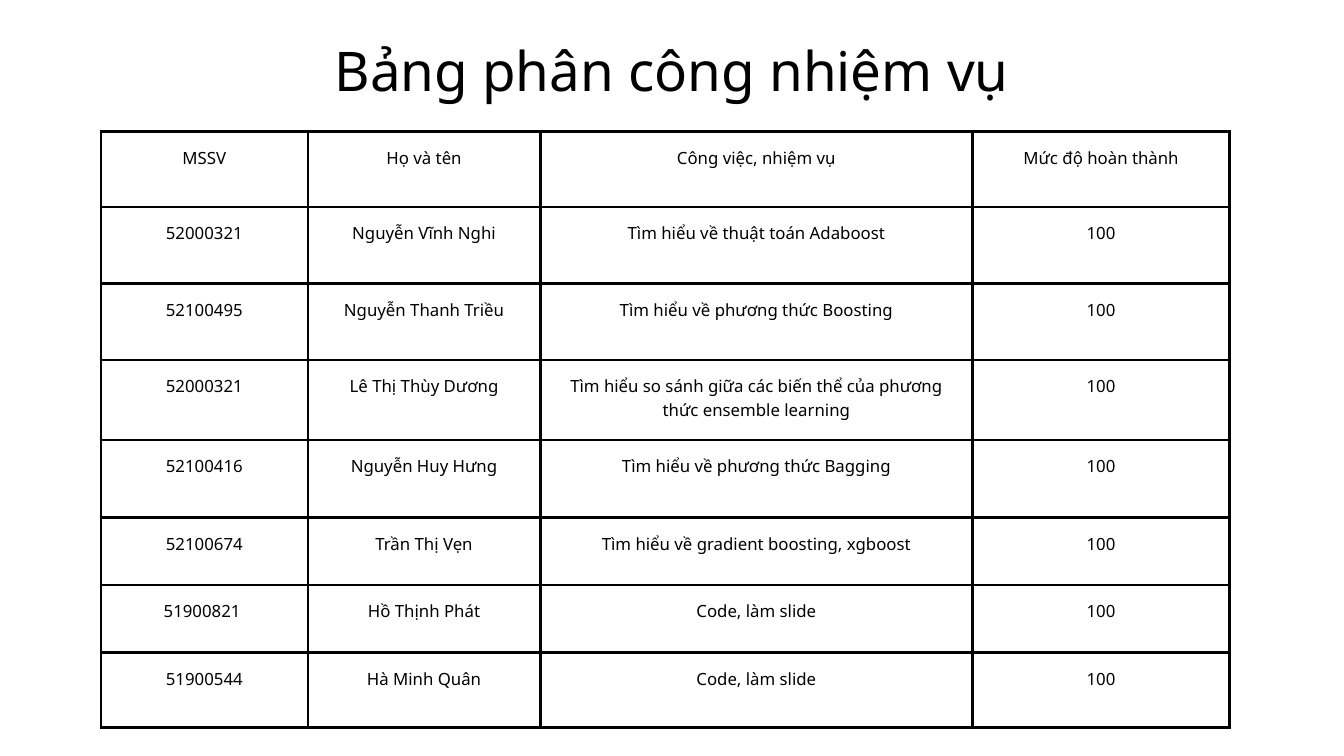
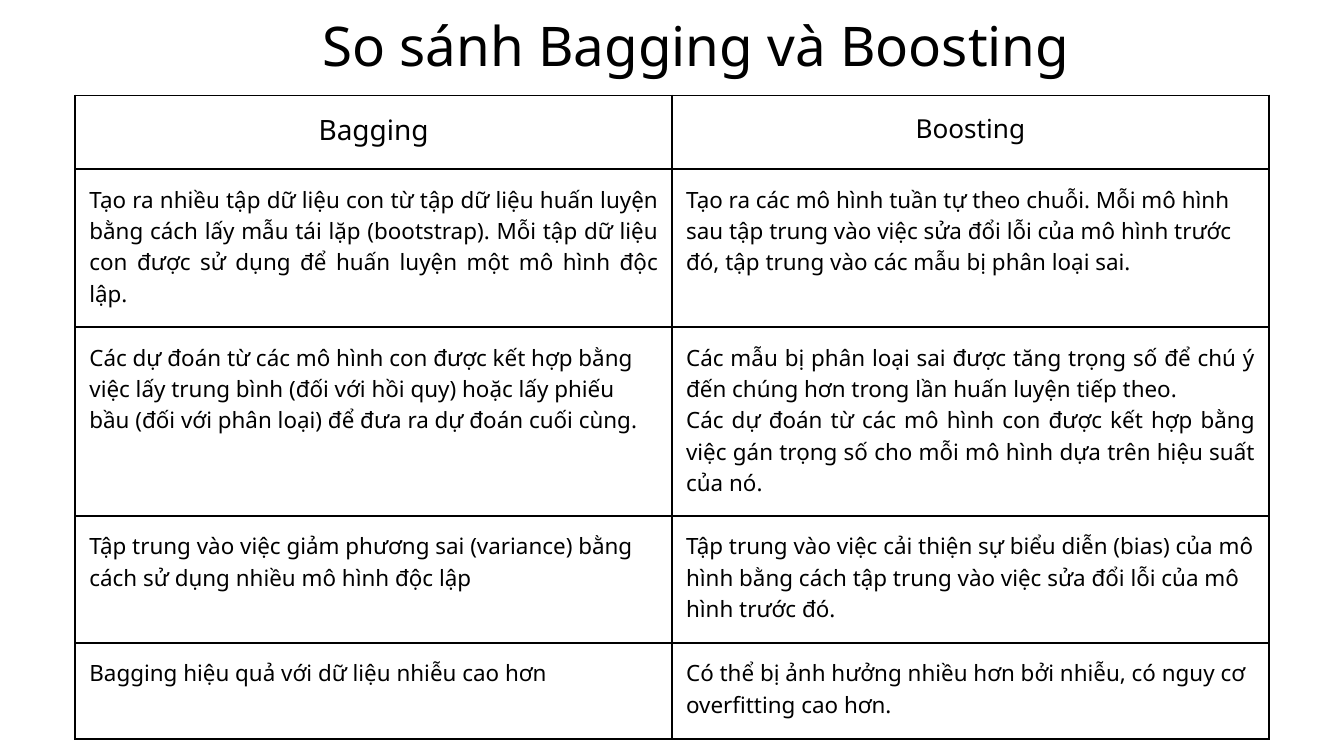
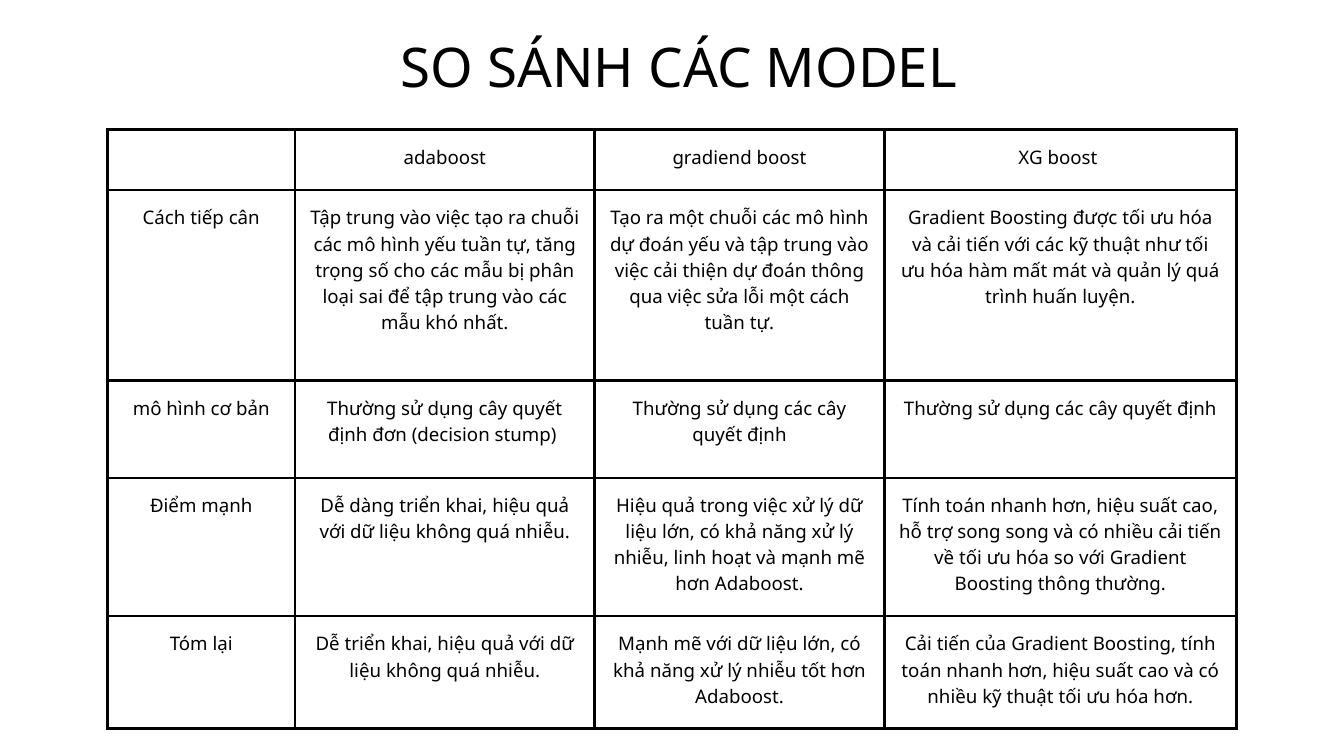
import dataclasses

import pptx
import pptx.dml.color
import pptx.enum.text
import pptx.oxml
import pptx.oxml.ns
import pptx.util

ALIGN = pptx.enum.text.PP_ALIGN
GRID_COLS, GRID_ROWS = 20, 11.25


@dataclasses.dataclass(frozen=True)
class Theme:
    font: str = "Noto Sans"
    ink: str = "000000"
    paper: str = "FFFFFF"
    title: float = 58.6
    small: int = 18
    medium: int = 20
    large: int = 24
    header: int = 28
    header_big: int = 30
    leading: float = 1.4
    cell_margin: float = 0.21
    thin: float = 2.25
    thick: float = 3


THEME = Theme()

TASKS = [
    ("MSSV", "Họ và tên", "Công việc, nhiệm vụ", "Mức độ hoàn thành"),
    ("52000321", "Nguyễn Vĩnh Nghi", "Tìm hiểu về thuật toán Adaboost", "100"),
    ("52100495", "Nguyễn Thanh Triều", "Tìm hiểu về phương thức Boosting", "100"),
    ("52000321", "Lê Thị Thùy Dương",
     "Tìm hiểu so sánh giữa các biến thể của phương thức ensemble learning", "100"),
    ("52100416", "Nguyễn Huy Hưng", "Tìm hiểu về phương thức Bagging", "100"),
    ("52100674", "Trần Thị Vẹn", "Tìm hiểu về gradient boosting, xgboost", "100"),
    ("51900821 ", "Hồ Thịnh Phát", "Code, làm slide", "100"),
    ("51900544", "Hà Minh Quân", "Code, làm slide", "100"),
]

METHODS = [
    ("Bagging", "Boosting"),
    ("Tạo ra nhiều tập dữ liệu con từ tập dữ liệu huấn luyện bằng cách lấy mẫu "
     "tái lặp (bootstrap). Mỗi tập dữ liệu con được sử dụng để huấn luyện một "
     "mô hình độc lập.",
     "Tạo ra các mô hình tuần tự theo chuỗi. Mỗi mô hình sau tập trung vào việc "
     "sửa đổi lỗi của mô hình trước đó, tập trung vào các mẫu bị phân loại sai."),
    ("Các dự đoán từ các mô hình con được kết hợp bằng việc lấy trung bình (đối "
     "với hồi quy) hoặc lấy phiếu bầu (đối với phân loại) để đưa ra dự đoán cuối "
     "cùng.",
     "Các mẫu bị phân loại sai được tăng trọng số để chú ý đến chúng hơn trong "
     "lần huấn luyện tiếp theo.\n"
     "Các dự đoán từ các mô hình con được kết hợp bằng việc gán trọng số cho mỗi "
     "mô hình dựa trên hiệu suất của nó."),
    ("Tập trung vào việc giảm phương sai (variance) bằng cách sử dụng nhiều mô "
     "hình độc lập",
     "Tập trung vào việc cải thiện sự biểu diễn (bias) của mô hình bằng cách tập "
     "trung vào việc sửa đổi lỗi của mô hình trước đó."),
    ("Bagging hiệu quả với dữ liệu nhiễu cao hơn",
     "Có thể bị ảnh hưởng nhiều hơn bởi nhiễu, có nguy cơ overfitting cao hơn."),
]

METHOD_STYLES = {
    (0, 0): (THEME.header_big, ALIGN.CENTER),
    (0, 1): (THEME.header, ALIGN.CENTER),
    (1, 0): (THEME.large, ALIGN.JUSTIFY),
    (2, 1): (THEME.large, ALIGN.JUSTIFY),
}

MODELS = [
    ("", "adaboost", "gradiend boost", "XG boost "),
    ("Cách tiếp cân",
     "Tập trung vào việc tạo ra chuỗi các mô hình yếu tuần tự, tăng trọng số cho "
     "các mẫu bị phân loại sai để tập trung vào các mẫu khó nhất.",
     "Tạo ra một chuỗi các mô hình dự đoán yếu và tập trung vào việc cải thiện dự "
     "đoán thông qua việc sửa lỗi một cách tuần tự.",
     "Gradient Boosting được tối ưu hóa và cải tiến với các kỹ thuật như tối ưu "
     "hóa hàm mất mát và quản lý quá trình huấn luyện."),
    ("mô hình cơ bản",
     "Thường sử dụng cây quyết định đơn (decision stump) ",
     "Thường sử dụng các cây quyết định",
     "Thường sử dụng các cây quyết định"),
    ("Điểm mạnh",
     "Dễ dàng triển khai, hiệu quả với dữ liệu không quá nhiễu.",
     "Hiệu quả trong việc xử lý dữ liệu lớn, có khả năng xử lý nhiễu, linh hoạt "
     "và mạnh mẽ hơn Adaboost.",
     "Tính toán nhanh hơn, hiệu suất cao, hỗ trợ song song và có nhiều cải tiến "
     "về tối ưu hóa so với Gradient Boosting thông thường."),
    ("Tóm lại",
     "Dễ triển khai, hiệu quả với dữ liệu không quá nhiễu.",
     "Mạnh mẽ với dữ liệu lớn, có khả năng xử lý nhiễu tốt hơn Adaboost.",
     "Cải tiến của Gradient Boosting, tính toán nhanh hơn, hiệu suất cao và có "
     "nhiều kỹ thuật tối ưu hóa hơn."),
]


def grid(n):
    return pptx.util.Inches(n)


def write(tf, text, size, align):
    tf.word_wrap = True
    for i, line in enumerate(text.split("\n")):
        p = tf.paragraphs[0] if i == 0 else tf.add_paragraph()
        p.alignment = align
        p.line_spacing = pptx.util.Pt(round(size * THEME.leading, 1))
        p.space_before = pptx.util.Pt(0)
        r = p.add_run()
        r.text = line
        r.font.name = THEME.font
        r.font.size = pptx.util.Pt(size)
        r.font.color.rgb = pptx.dml.color.RGBColor.from_string(THEME.ink)


def add_titled_slide(prs, text, left, top, width, height):
    s = prs.slides.add_slide(prs.slide_layouts[5])
    s.background.fill.solid()
    s.background.fill.fore_color.rgb = pptx.dml.color.RGBColor.from_string(THEME.paper)
    sp = s.shapes.title
    sp.left, sp.top, sp.width, sp.height = map(grid, (left, top, width, height))
    tf = sp.text_frame
    tf.margin_left = tf.margin_top = tf.margin_right = tf.margin_bottom = 0
    tf.vertical_anchor = pptx.enum.text.MSO_ANCHOR.TOP
    tf.auto_size = pptx.enum.text.MSO_AUTO_SIZE.SHAPE_TO_FIT_TEXT
    write(tf, text, THEME.title, ALIGN.CENTER)
    return s


def set_borders(cell, weight):
    tc_pr = cell._tc.get_or_add_tcPr()
    for side in ("lnL", "lnR", "lnT", "lnB"):
        tc_pr.append(pptx.oxml.parse_xml(
            f'<a:{side} {pptx.oxml.ns.nsdecls("a")} w="{pptx.util.Pt(weight)}">'
            f'<a:solidFill><a:srgbClr val="{THEME.ink}"/></a:solidFill>'
            f'</a:{side}>'))


def add_grid_table(s, data, left, top, cols, rows, weight, style, styles=None):
    frame = s.shapes.add_table(len(rows), len(cols), grid(left), grid(top),
                               grid(sum(cols)), grid(sum(rows)))
    table = frame.table
    table.first_row = table.horz_banding = False
    for column, width in zip(table.columns, cols):
        column.width = grid(width)
    for row, height in zip(table.rows, rows):
        row.height = grid(height)
    margin = grid(THEME.cell_margin)
    for i, texts in enumerate(data):
        for j, text in enumerate(texts):
            cell = table.cell(i, j)
            set_borders(cell, weight)
            cell.fill.background()
            cell.margin_left = cell.margin_right = margin
            cell.margin_top = cell.margin_bottom = margin
            if text:
                write(cell.text_frame, text, *(styles or {}).get((i, j), style))


def main():
    prs = pptx.Presentation()
    prs.slide_width, prs.slide_height = grid(GRID_COLS), grid(GRID_ROWS)

    s = add_titled_slide(prs, "Bảng phân công nhiệm vụ", 2.38, 0.38, 15.23, 1.15)
    add_grid_table(s, TASKS, 1.5, 1.96, (3.08, 3.46, 6.43, 3.83),
                   (1.12, 1.14, 1.14, 1.19, 1.15, 1.01, 1, 1.12),
                   THEME.thick, (THEME.small, ALIGN.CENTER))

    s = add_titled_slide(prs, "So sánh Bagging và Boosting", 2.56, 0.02, 15.59, 1.1)
    add_grid_table(s, METHODS, 1.12, 1.42, (8.88,) * 2,
                   (1.1, 2.35, 2.81, 1.89, 1.43),
                   THEME.thin, (THEME.large, ALIGN.LEFT), METHOD_STYLES)

    s = add_titled_slide(prs, "SO SÁNH CÁC MODEL", 3.01, 0.32, 14.18, 1.15)
    add_grid_table(s, MODELS, 1.6, 1.93, (2.79, 4.46, 4.31, 5.24),
                   (0.9, 2.83, 1.45, 2.06, 1.67),
                   THEME.thick, (THEME.medium, ALIGN.CENTER))

    prs.save("out.pptx")


if __name__ == "__main__":
    main()
